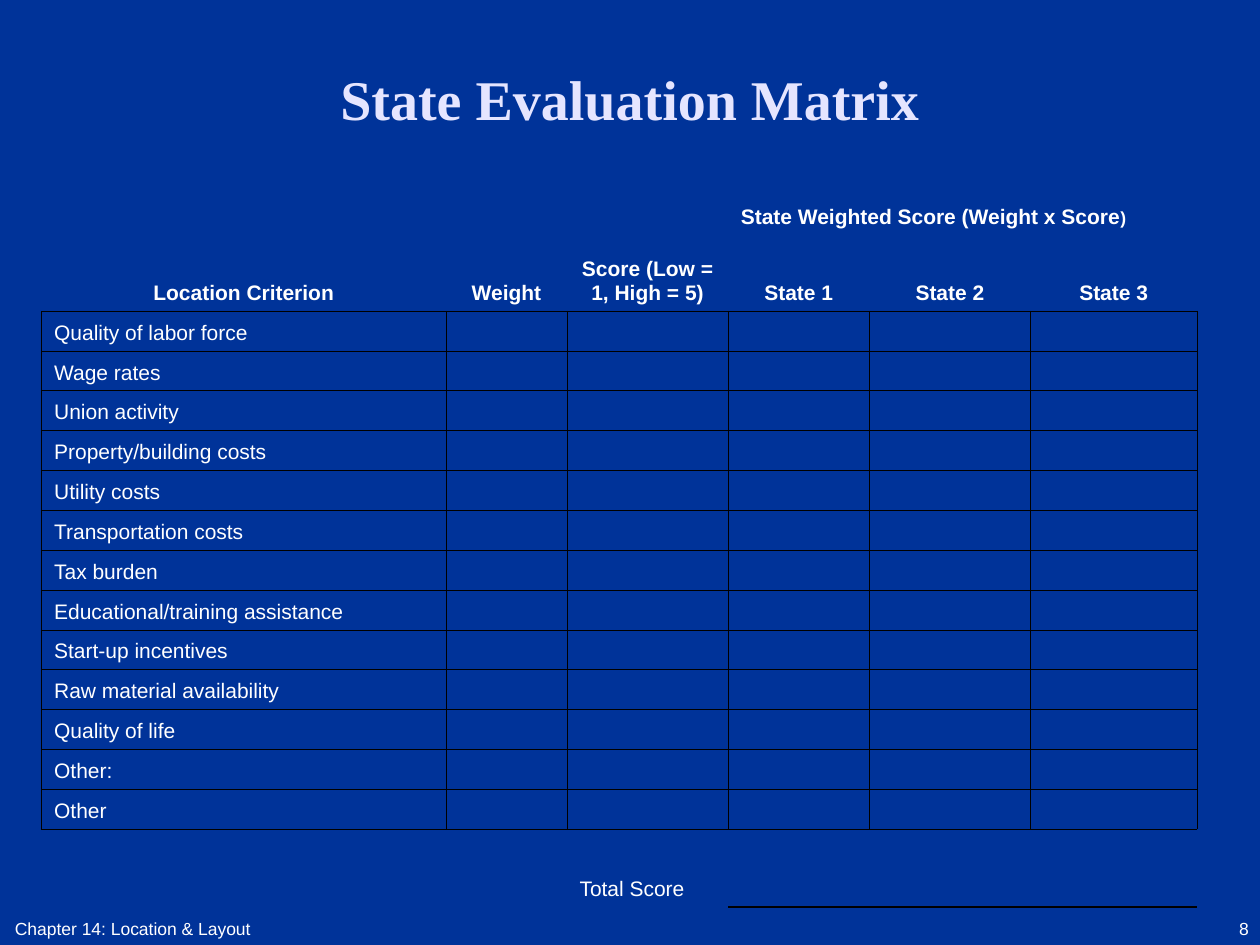
from lxml.etree import SubElement
from pptx import Presentation
from pptx.dml.color import RGBColor
from pptx.enum.text import MSO_ANCHOR as Anchor, PP_ALIGN as Align
from pptx.oxml.ns import qn
from pptx.util import Inches, Pt

# Content
TITLE = "State Evaluation Matrix"
SPAN_HEADING = ("State Weighted Score (Weight x Score", ")")
HEADINGS = ["Location Criterion", "Weight", "Score (Low = 1, High = 5)",
            "State 1", "State 2", "State 3"]
CRITERIA = ["Quality of labor force", "Wage rates", "Union activity",
            "Property/building costs", "Utility costs", "Transportation costs",
            "Tax burden", "Educational/training assistance", "Start-up incentives",
            "Raw material availability", "Quality of life", "Other:", "Other"]
TOTAL = "Total Score"
FOOTER = "Chapter 14: Location & Layout"
PAGE_NUMBER = "8"

# Style and layout
COLORS = {"background": "003399", "title": "E5E5FF", "text": "FFFFFF", "line": "000000"}
COLUMN_WIDTHS = [3.21, 0.96, 1.28, 1.12, 1.28, 1.32]
BODY_HEIGHT = 4.11
ROW_HEIGHTS = [0.62, 0.6] + [BODY_HEIGHT / len(CRITERIA)] * len(CRITERIA) + [0.62]
HEADING_ROW, TOTAL_ROW = 1, len(ROW_HEIGHTS) - 1
SCORE_COLUMN, FIRST_STATE = 2, 3
THIN, THICK = 0.45, 0.96
NO_STYLE_NO_GRID = "{2D5ABB26-0587-4C30-8999-92F81FD0307C}"


def format_run(run, size, color="text", font="Arial", bold=False):
    run.font.name = font
    run.font.size = Pt(size)
    run.font.bold = bold
    run.font.color.rgb = RGBColor.from_string(COLORS[color])


def add_text(slide, box, text, size, align, anchor=Anchor.BOTTOM, **style):
    frame = slide.shapes.add_textbox(*map(Inches, box)).text_frame
    frame.word_wrap = True
    frame.vertical_anchor = anchor
    frame.text = text
    frame.paragraphs[0].alignment = align
    format_run(frame.paragraphs[0].runs[0], size, **style)


def fill_cell(cell, text="", align=Align.LEFT, bold=False):
    cell.vertical_anchor = Anchor.BOTTOM
    cell.margin_left = cell.margin_right = Inches(0.1)
    cell.margin_top = cell.margin_bottom = Inches(0.05)
    paragraph = cell.text_frame.paragraphs[0]
    paragraph.alignment = align
    if text:
        paragraph.text = text
        format_run(paragraph.runs[0], 12, bold=bold)
    else:  # keeps empty cells from stretching their row
        SubElement(paragraph._p, qn("a:endParaRPr"), sz="1200")


def cell_borders(row, column):
    if row < HEADING_ROW:
        return {}
    if row == HEADING_ROW:
        return {"B": THIN}
    if row < TOTAL_ROW:
        return dict.fromkeys("LRTB", THIN)
    return {"T": THIN, "B": THICK} if column >= FIRST_STATE else {"T": THIN}


def draw_borders(cell, borders):
    properties = cell._tc.get_or_add_tcPr()
    for side, width in borders.items():
        line = SubElement(properties, qn(f"a:ln{side}"), w=str(int(Pt(width))))
        fill = SubElement(line, qn("a:solidFill"))
        SubElement(fill, qn("a:srgbClr"), val=COLORS["line"])


def add_matrix(slide):
    frame = slide.shapes.add_table(
        len(ROW_HEIGHTS), len(COLUMN_WIDTHS), Inches(0.33), Inches(1.25),
        Inches(sum(COLUMN_WIDTHS)), Inches(sum(ROW_HEIGHTS)))
    table = frame.table
    table.first_row = table.horz_banding = False
    table._tbl.tblPr.find(qn("a:tableStyleId")).text = NO_STYLE_NO_GRID
    for column, width in zip(table.columns, COLUMN_WIDTHS):
        column.width = Inches(width)
    for row, height in zip(table.rows, ROW_HEIGHTS):
        row.height = Inches(height)

    # Text by cell position
    texts = {(0, FIRST_STATE): SPAN_HEADING[0], (TOTAL_ROW, SCORE_COLUMN): TOTAL}
    texts.update({(HEADING_ROW, i): text for i, text in enumerate(HEADINGS)})
    texts.update({(i, 0): text for i, text in enumerate(CRITERIA, HEADING_ROW + 1)})

    for row in range(len(ROW_HEIGHTS)):
        for column in range(len(COLUMN_WIDTHS)):
            cell = table.cell(row, column)
            align = Align.CENTER if row == HEADING_ROW else Align.LEFT
            fill_cell(cell, texts.get((row, column), ""), align, row <= HEADING_ROW)
            draw_borders(cell, cell_borders(row, column))
            cell.fill.background()

    # Heading across the three states
    heading = table.cell(0, FIRST_STATE)
    heading.merge(table.cell(0, len(COLUMN_WIDTHS) - 1))
    bracket = heading.text_frame.paragraphs[0].add_run()
    bracket.text = SPAN_HEADING[1]
    format_run(bracket, 10, bold=True)


def main():
    presentation = Presentation()
    presentation.slide_width, presentation.slide_height = Inches(10), Inches(7.5)
    slide = presentation.slides.add_slide(presentation.slide_layouts[6])
    slide.background.fill.solid()
    slide.background.fill.fore_color.rgb = RGBColor.from_string(COLORS["background"])

    add_text(slide, (0.5, 0.3, 9, 0.95), TITLE, 32, Align.CENTER, Anchor.MIDDLE,
             color="title", font="Times New Roman", bold=True)
    add_matrix(slide)
    add_text(slide, (0.02, 6.98, 3.17, 0.52), FOOTER, 10, Align.LEFT)
    add_text(slide, (7.68, 6.98, 2.33, 0.52), PAGE_NUMBER, 10, Align.RIGHT)
    presentation.save("out.pptx")


if __name__ == "__main__":
    main()
